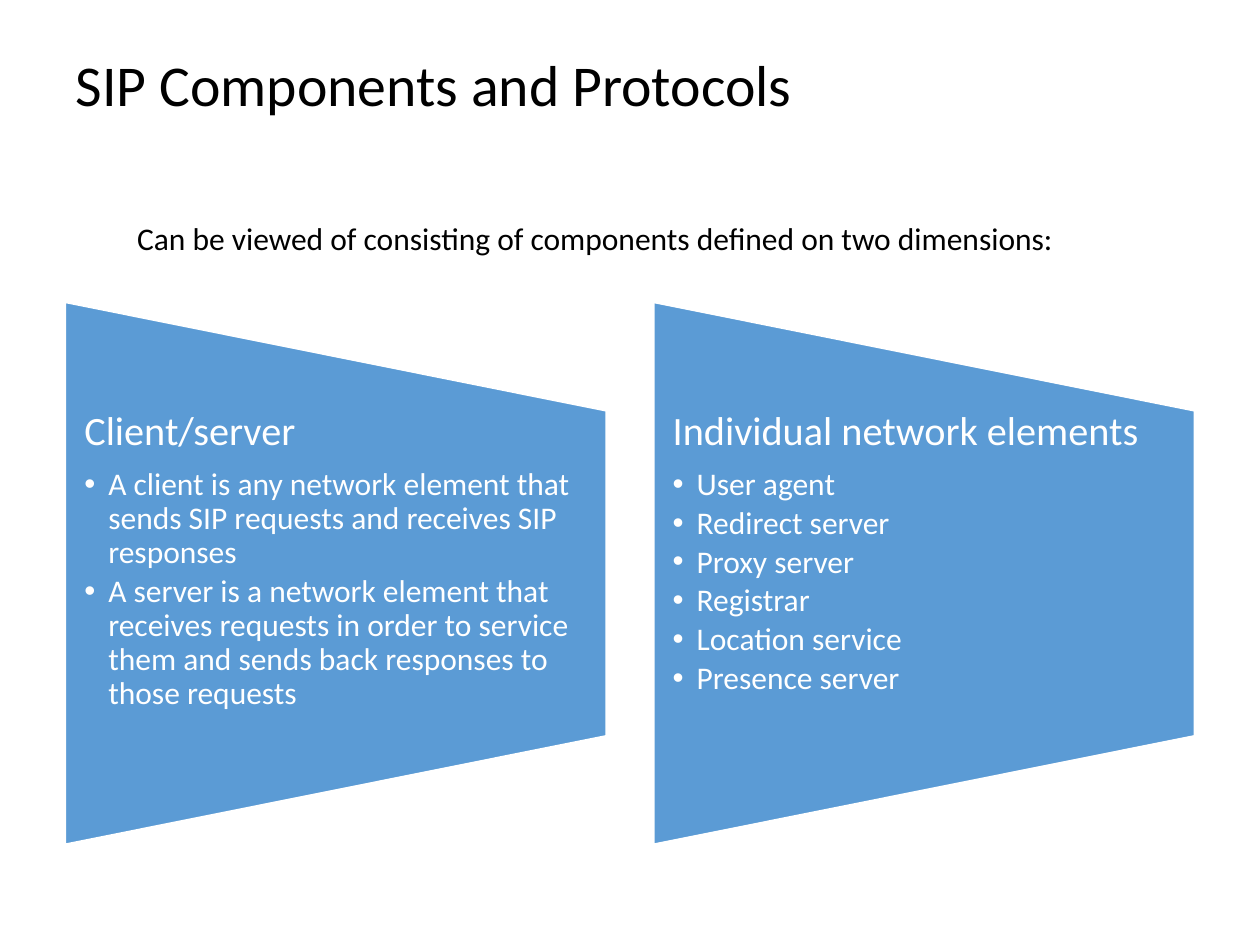
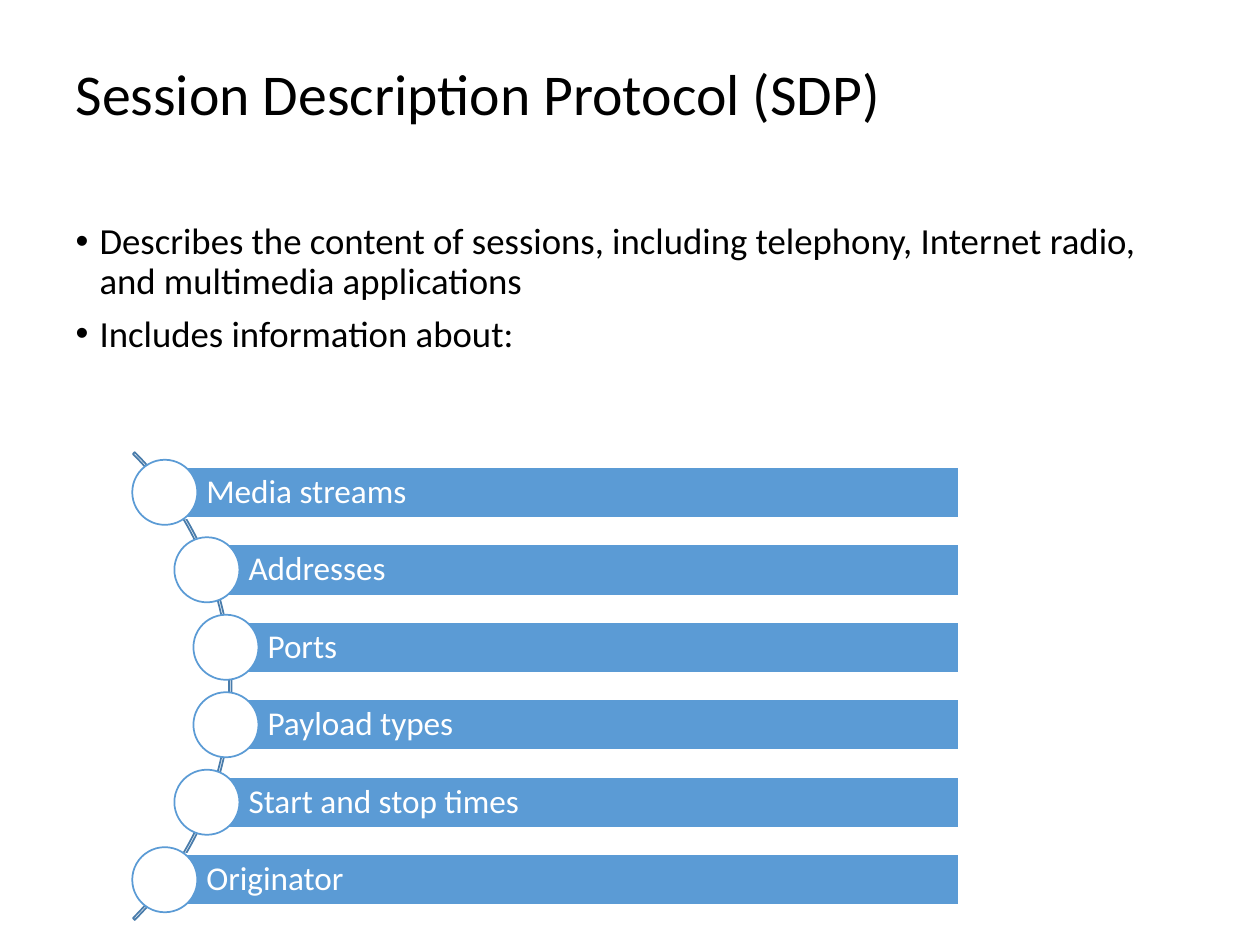
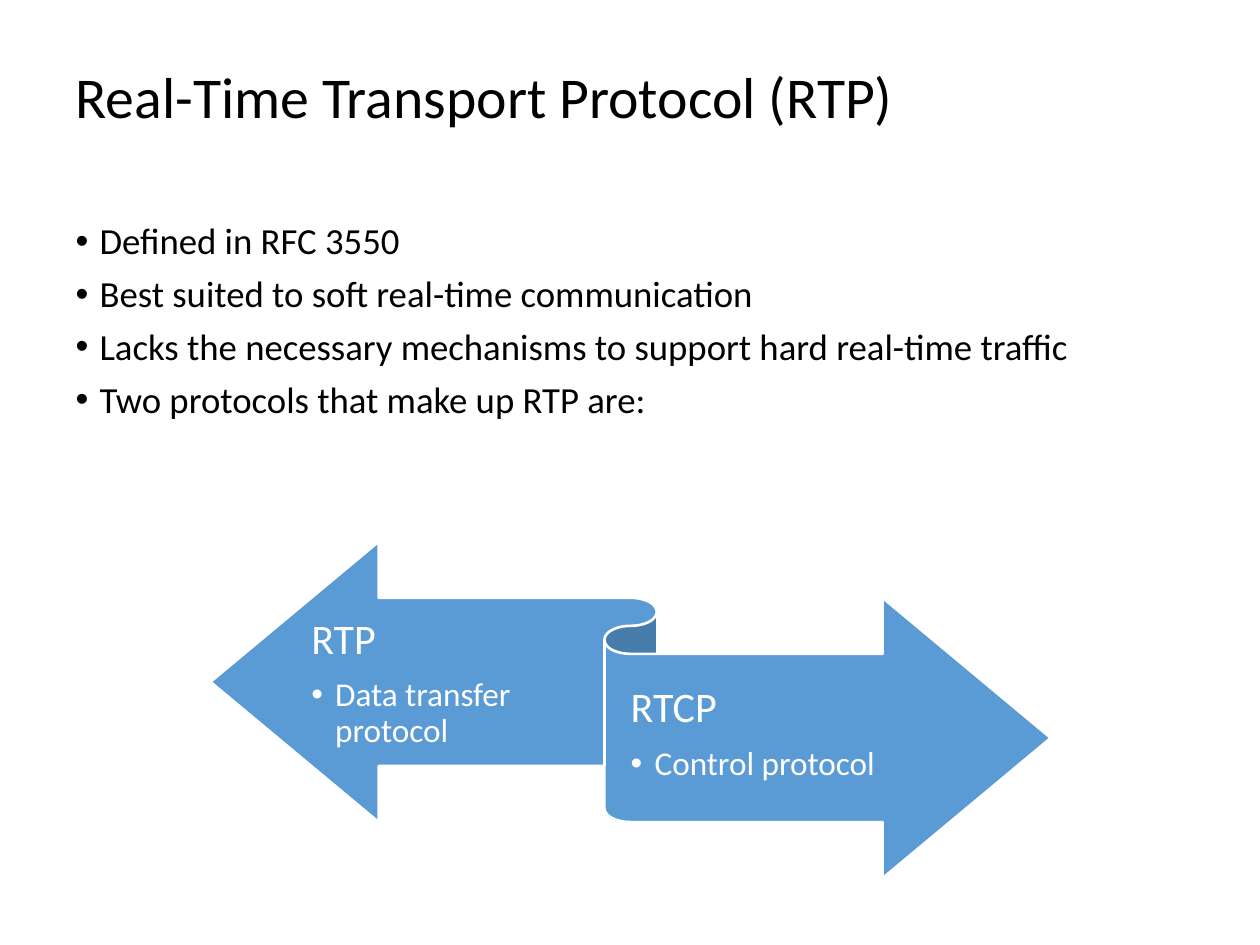
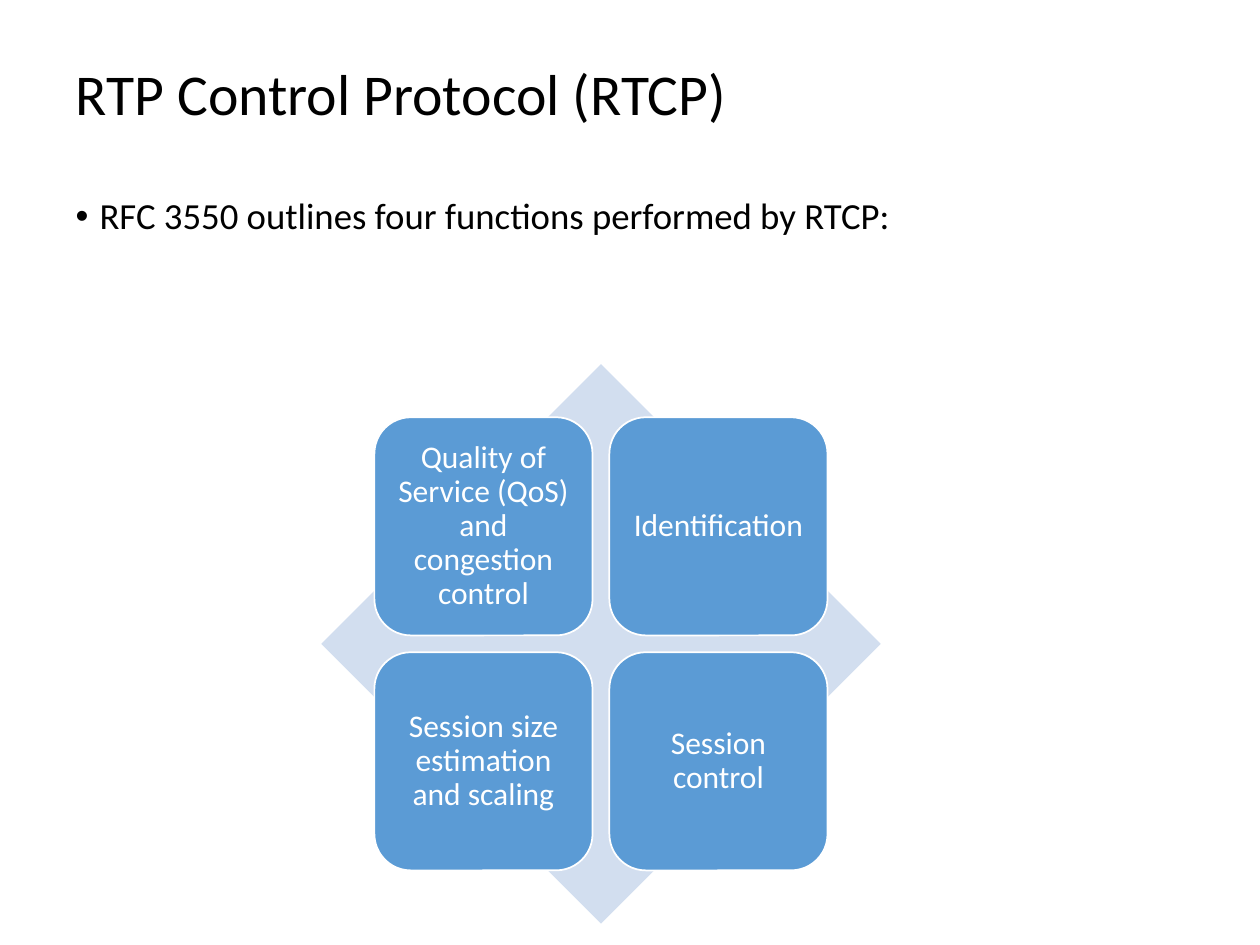
from collections import namedtuple
from dataclasses import dataclass
from math import sqrt

from lxml import etree
from pptx import Presentation
from pptx.dml.color import RGBColor
from pptx.enum.shapes import MSO_SHAPE
from pptx.enum.text import MSO_ANCHOR, MSO_AUTO_SIZE, PP_ALIGN
from pptx.oxml.ns import qn
from pptx.util import Inches, Pt

TRAP = MSO_SHAPE.FLOWCHART_MANUAL_OPERATION
ARC, RIBBON = MSO_SHAPE.BLOCK_ARC, MSO_SHAPE.LEFT_RIGHT_RIBBON
RECT, ROUND = MSO_SHAPE.RECTANGLE, MSO_SHAPE.ROUNDED_RECTANGLE
OVAL, DIAMOND = MSO_SHAPE.OVAL, MSO_SHAPE.DIAMOND
LEFT, CENTER = PP_ALIGN.LEFT, PP_ALIGN.CENTER
TOP, MIDDLE = MSO_ANCHOR.TOP, MSO_ANCHOR.MIDDLE
FIXED, GROW = MSO_AUTO_SIZE.NONE, MSO_AUTO_SIZE.SHAPE_TO_FIT_TEXT
TITLE_ONLY, TITLE_BODY = 5, 1


@dataclass(frozen=True)
class Theme:
    font: str = "Calibri"
    ink: str = "000000"
    white: str = "FFFFFF"
    blue: str = "5B9BD5"
    pale: str = "D2DEEF"
    dark: str = "497CAB"
    title: int = 33
    body: int = 21
    head: int = 23
    item: int = 18
    row: int = 19
    tight: float = 0.9
    indent: float = 0.19


T = Theme()
# The slide is a grid of 10 columns and 7.5 rows, each one inch.
COLS, ROWS = 10, 7.5
EDGE, WIDE = 0.5, 9
PAD = (0.1, 0.05, 0.1, 0.05)

Box = namedtuple("Box", "x y w h")


def inner(box, x, y, w, h):
    """Return the box at the given shares of another box."""
    return Box(box.x + x * box.w, box.y + y * box.h, w * box.w, h * box.h)


def apply(target, values):
    for name, value in values.items():
        setattr(target, name, value)


def place(shape, box):
    names = ("left", "top", "width", "height")
    apply(shape, {n: Inches(v) for n, v in zip(names, box)})


def frame(shape, pad=PAD, anchor=TOP, fit=FIXED):
    text = shape.text_frame
    names = ("margin_left", "margin_top", "margin_right", "margin_bottom")
    apply(text, {n: Inches(v) for n, v in zip(names, pad)})
    apply(text, {"word_wrap": True, "vertical_anchor": anchor,
                 "auto_size": fit})
    return text


def bullet(para):
    props = para._p.get_or_add_pPr()
    step = Inches(T.indent)
    props.set("marL", str(step))
    props.set("indent", str(-step))
    etree.SubElement(props, qn("a:buFont"), typeface="Arial")
    etree.SubElement(props, qn("a:buChar"), char="•")


def write(text, lines, size, color=T.white, dots=False, **form):
    """Add lines as paragraphs, using the first one while it is blank."""
    for line in lines:
        para = text.paragraphs[0]
        if para.runs:
            para = text.add_paragraph()
        apply(para, {"alignment": LEFT, "line_spacing": T.tight, **form})
        run = para.add_run()
        run.text = line
        apply(run.font, {"name": T.font, "size": Pt(size)})
        run.font.color.rgb = RGBColor.from_string(color)
        if dots:
            bullet(para)


def draw(slide, kind, box, fill=None, line=None, width=1):
    shape = slide.shapes.add_shape(kind, *(Inches(v) for v in box))
    shape.shadow.inherit = False
    if fill:
        shape.fill.solid()
        shape.fill.fore_color.rgb = RGBColor.from_string(fill)
    else:
        shape.fill.background()
    if line:
        shape.line.color.rgb = RGBColor.from_string(line)
        shape.line.width = Pt(width)
    else:
        shape.line.fill.background()
    return shape


def label(slide, box, **form):
    return frame(slide.shapes.add_textbox(*(Inches(v) for v in box)), **form)


def topic(text, head, items, size, small):
    """Write a heading with a bulleted list below it."""
    write(text, [head], size, space_after=Pt(0.35 * size))
    write(text, items, small, dots=True, level=1,
          space_after=Pt(0.15 * small))


def start(deck, title, top, points=(), box=None):
    """Add a slide with its title and, if there are points, its list."""
    layout = TITLE_BODY if points else TITLE_ONLY
    slide = deck.slides.add_slide(deck.slide_layouts[layout])
    head = slide.shapes.title
    place(head, Box(EDGE, top, WIDE, 1.25))
    write(frame(head, anchor=MIDDLE), [title], T.title, T.ink)
    if points:
        body = slide.placeholders[1]
        place(body, box)
        write(frame(body), points, T.body, T.ink, dots=True,
              space_before=Pt(7.5))
    return slide


def panels(slide, box, topics):
    """Set side by side panels, each a trapezoid that narrows to the right."""
    gap = 0.04
    share = (1 - gap * (len(topics) - 1)) / len(topics)
    for i, (head, items) in enumerate(topics):
        cell = inner(box, i * (share + gap), 0, share, 1)
        trap = draw(slide, TRAP, cell, T.blue, T.white, 1.5)
        trap.rotation = 270
        text = label(slide, inner(cell, 0, 0.2, 1, 0.6),
                     pad=(0.16, 0, 0.16, 0))
        topic(text, head, items, T.head, T.item)


def curve(slide, box, names):
    """Set bars whose dots follow an arc, centred on the box's height."""
    step = box.h / len(names)
    dot, bar = 0.14 * box.h, 0.11 * box.h
    radius = box.h / 1.42
    mid = box.y + box.h / 2
    reach = step * (len(names) - 1) / 2
    hub = box.x + dot / 2 - sqrt(radius ** 2 - reach ** 2)

    outer = 1.01 * radius
    ring = draw(slide, ARC, Box(hub - outer, mid - outer, 2 * outer, 2 * outer),
                line=T.dark)
    for i, value in enumerate((189, 27, 0.01 / outer)):
        ring.adjustments[i] = value

    for i, name in enumerate(names):
        y = box.y + (i + 0.5) * step
        x = hub + sqrt(radius ** 2 - (y - mid) ** 2)
        strip = draw(slide, RECT,
                     Box(x, y - bar / 2, box.x + box.w - x, bar),
                     T.blue, T.white)
        text = frame(strip, (0.33, 0.05, 0.05, 0.05), MIDDLE)
        write(text, [name], T.row)
        draw(slide, OVAL, Box(x - dot / 2, y - dot / 2, dot, dot),
             T.white, T.blue)


def ribbon(slide, box, topics):
    draw(slide, RIBBON, box, T.blue, T.white, 1.5)
    areas = ((0.12, 0.18, 0.33, 0.49), (0.5, 0.33, 0.39, 0.49))
    for area, (head, items) in zip(areas, topics):
        text = label(slide, inner(box, *area), pad=(0, 0.09, 0, 0.1),
                     anchor=MIDDLE)
        topic(text, head, items, T.head + 1, T.row)


def matrix(slide, box, names):
    """Set four tiles, two by two, on a diamond."""
    draw(slide, DIAMOND, box, T.pale)
    tile, step = 0.39, 0.42
    edge = (1 - tile - step) / 2
    for i, name in enumerate(names):
        row, col = divmod(i, 2)
        cell = inner(box, edge + col * step, edge + row * step, tile, tile)
        shape = draw(slide, ROUND, cell, T.blue, T.white)
        text = frame(shape, (0.07,) * 4, MIDDLE)
        write(text, [name], T.item, alignment=CENTER)


def parts_slide(deck):
    slide = start(deck, "SIP Components and Protocols", 0.07)
    panels(slide, Box(0.51, 2.4, 8.98, 4.3), [
        ("Client/server", [
            "A client is any network element that sends SIP requests and "
            "receives SIP responses",
            "A server is a network element that receives requests in order "
            "to service them and sends back responses to those requests"]),
        ("Individual network elements", [
            "User agent", "Redirect server", "Proxy server", "Registrar",
            "Location service", "Presence server"])])
    text = label(slide, Box(0.99, 1.69, 8.66, 0.71), fit=GROW)
    write(text, ["Can be viewed of consisting of components defined on "
                 "two dimensions:"], T.item, T.ink, line_spacing=1.0)


def sdp_slide(deck):
    slide = start(deck, "Session Description Protocol (SDP)", 0.14, [
        "Describes the content of sessions, including telephony, Internet "
        "radio, and multimedia applications",
        "Includes information about:"], Box(EDGE, 1.72, WIDE, 1.78))
    curve(slide, Box(1.05, 3.6, 6.56, 3.69), [
        "Media streams", "Addresses", "Ports", "Payload types",
        "Start and stop times", "Originator"])


def rtp_slide(deck):
    slide = start(deck, "Real-Time Transport Protocol (RTP)", 0.17, [
        "Defined in RFC 3550",
        "Best suited to soft real-time communication",
        "Lacks the necessary mechanisms to support hard real-time traffic",
        "Two protocols that make up RTP are:"], Box(EDGE, 1.72, WIDE, 2.54))
    ribbon(slide, Box(1.67, 4.3, 6.67, 2.67), [
        ("RTP", ["Data transfer protocol"]),
        ("RTCP", ["Control protocol"])])


def rtcp_slide(deck):
    slide = start(deck, "RTP Control Protocol (RTCP)", 0.14, [
        "RFC 3550 outlines four functions performed by RTCP:"],
        Box(EDGE, 1.52, WIDE, 4.87))
    matrix(slide, Box(2.55, 2.89, 4.44, 4.44), [
        "Quality of Service (QoS) and congestion control", "Identification",
        "Session size estimation and scaling", "Session control"])


def main():
    deck = Presentation()
    apply(deck, {"slide_width": Inches(COLS), "slide_height": Inches(ROWS)})
    for build in (parts_slide, sdp_slide, rtp_slide, rtcp_slide):
        build(deck)
    deck.save("out.pptx")


if __name__ == "__main__":
    main()
